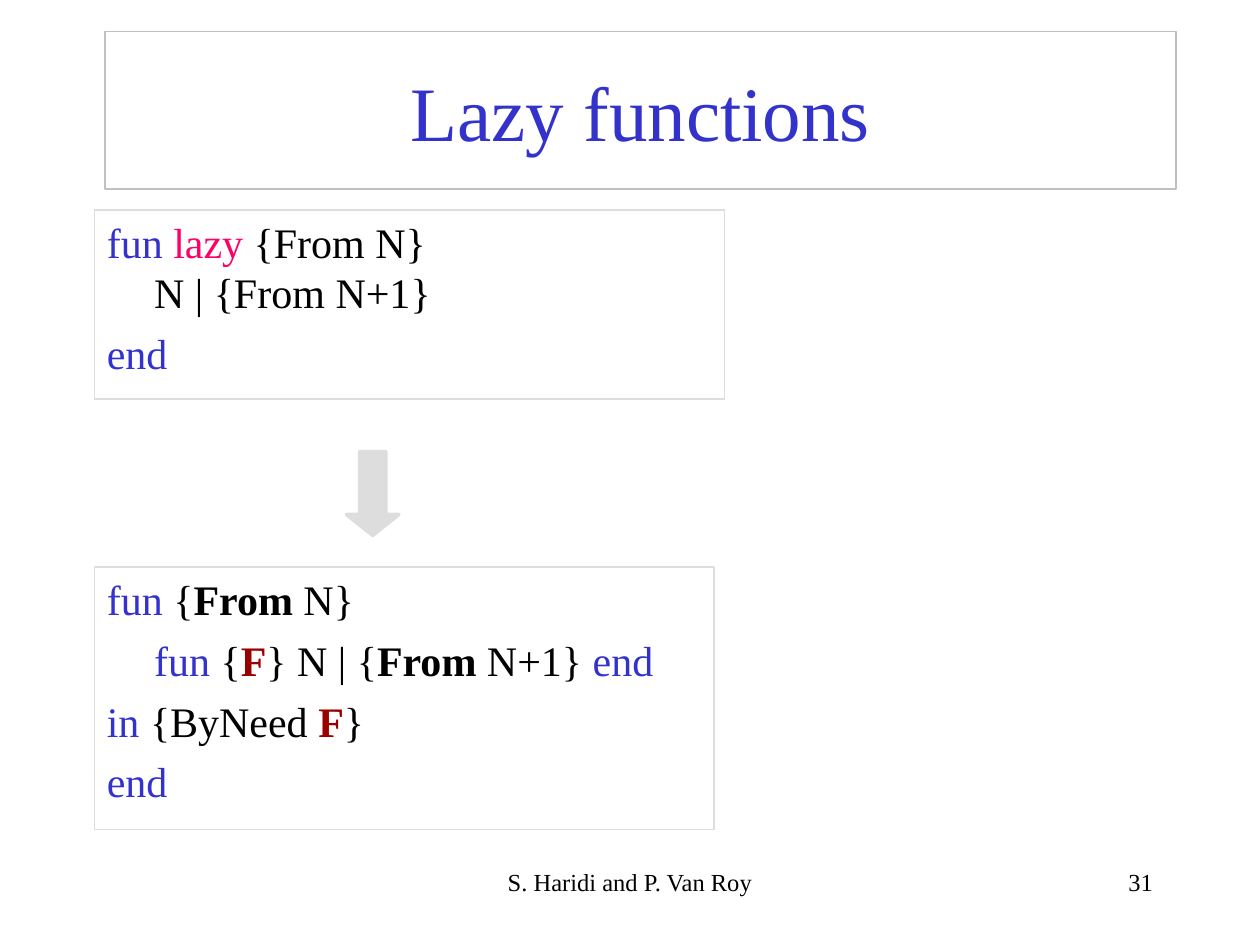
"""Build the slide that rewrites a lazy function with ByNeed."""
from pptx import Presentation
from pptx.dml.color import RGBColor as Color
from pptx.enum.shapes import MSO_SHAPE as Shape
from pptx.enum.text import MSO_ANCHOR as Anchor, MSO_AUTO_SIZE as AutoSize, PP_ALIGN as Align
from pptx.util import Pt

PX = 7620
COLORS = {
    "keyword": "3333CC", "lazy": "FF0066", "plain": "000000",
    "thunk": "990000", "title_line": "C0C0C0", "pale": "DDDDDD",
}


def color(name):
    return Color.from_string(COLORS[name])


def write(frame, paragraphs, size, para_format):
    frame.auto_size = AutoSize.NONE
    frame.word_wrap = True
    for index, spans in enumerate(paragraphs):
        para = frame.add_paragraph() if index else frame.paragraphs[0]
        for name, value in para_format.items():
            setattr(para, name, value)
        for text, tone, bold in spans:
            if text == "\n":
                para.add_line_break()
                continue
            span = para.add_run()
            span.text = text
            font_format = {"name": "Times New Roman", "size": Pt(size), "bold": bold}
            for name, value in font_format.items():
                setattr(span.font, name, value)
            span.font.color.rgb = color(tone)


deck = Presentation()
deck.slide_width, deck.slide_height = 1200 * PX, 900 * PX
page = deck.slides.add_slide(deck.slide_layouts[5])

title = page.shapes.title
place = {"left": 100, "top": 30, "width": 1020, "height": 150}
for name, value in place.items():
    setattr(title, name, value * PX)
title.line.color.rgb = color("title_line")
title.line.width = Pt(0.75)
title.text_frame.vertical_anchor = Anchor.MIDDLE
write(title.text_frame, [[("Lazy functions", "keyword", False)]], 44, {"alignment": Align.CENTER})

lazy_code = [
    [("fun ", "keyword", False), ("lazy", "lazy", False), (" {From N} ", "plain", False),
     ("\n", "plain", False), ("N | {From N+1}", "plain", False)],
    [("end", "keyword", False)],
]
by_need_code = [
    [("fun", "keyword", False), (" {", "plain", False), ("From", "plain", True),
     (" N}", "plain", False)],
    [("\tfun", "keyword", False), (" {", "plain", False), ("F", "thunk", True),
     ("} N | {", "plain", False), ("From", "plain", True), (" N+1} ", "plain", False),
     ("end", "keyword", False)],
    [("in", "keyword", False), (" {ByNeed ", "plain", False), ("F", "thunk", True),
     ("}", "plain", False)],
    [("end", "keyword", False)],
]
code_boxes = [(200, 600, 180, lazy_code), (540, 590, 250, by_need_code)]
for top, width, height, code in code_boxes:
    box = page.shapes.add_textbox(90 * PX, top * PX, width * PX, height * PX)
    box.line.color.rgb = color("pale")
    box.line.width = Pt(0.75)
    write(box.text_frame, code, 24, {"alignment": Align.LEFT, "space_before": Pt(6)})
    for para in box.text_frame.paragraphs:
        indents = para._p.get_or_add_pPr()
        indents.set("marL", str(45 * PX))
        indents.set("indent", str(-45 * PX))

arrow = page.shapes.add_shape(Shape.DOWN_ARROW, 330 * PX, 430 * PX, 50 * PX, 80 * PX)
arrow.shadow.inherit = False
arrow.adjustments[0], arrow.adjustments[1] = 0.5, 0.4
arrow.fill.solid()
arrow.fill.fore_color.rgb = color("pale")
arrow.line.color.rgb = color("pale")
arrow.line.width = Pt(2)

footers = [
    (410, 380, "S. Haridi and P. Van Roy", Align.CENTER),
    (860, 250, "31", Align.RIGHT),
]
for left, width, text, alignment in footers:
    box = page.shapes.add_textbox(left * PX, 820 * PX, width * PX, 60 * PX)
    write(box.text_frame, [[(text, "plain", False)]], 14, {"alignment": alignment})

deck.save("out.pptx")
